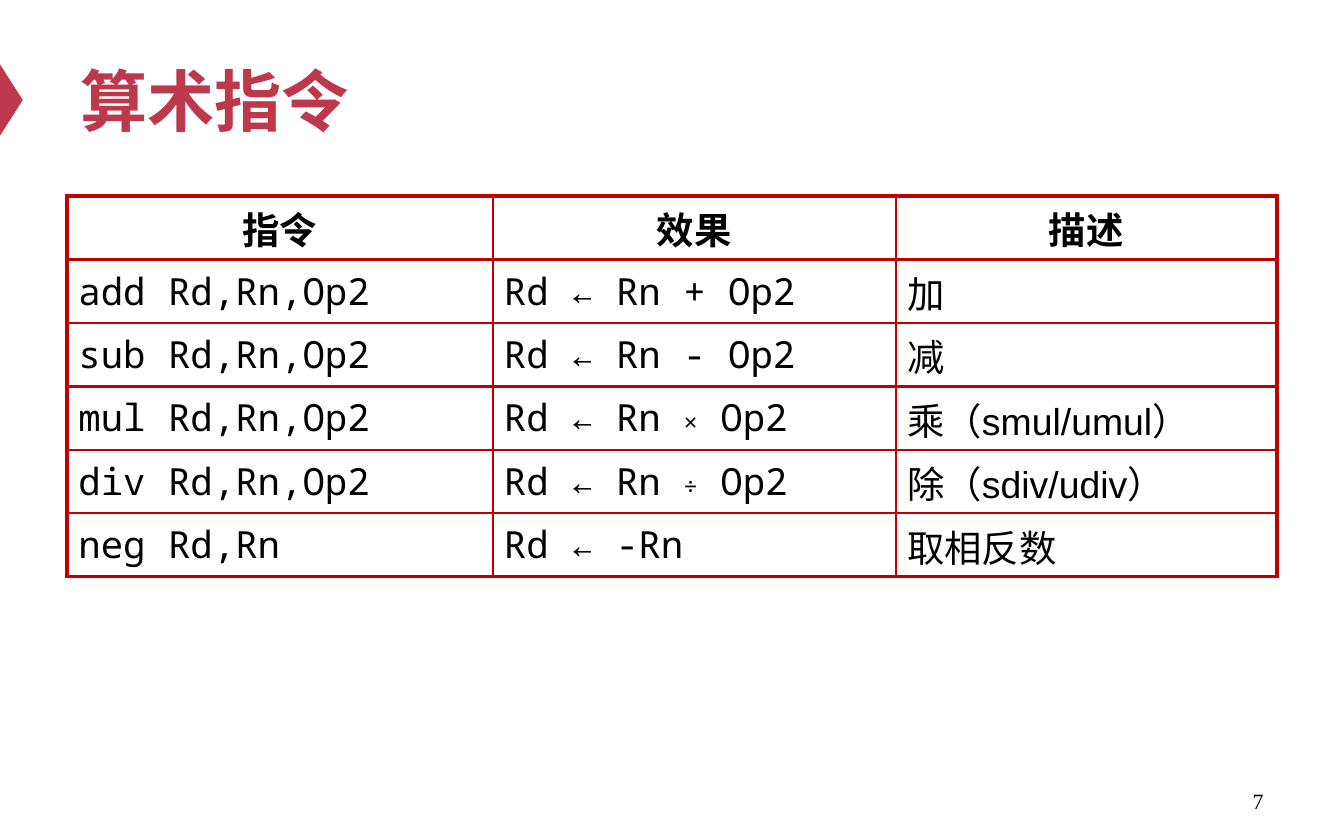
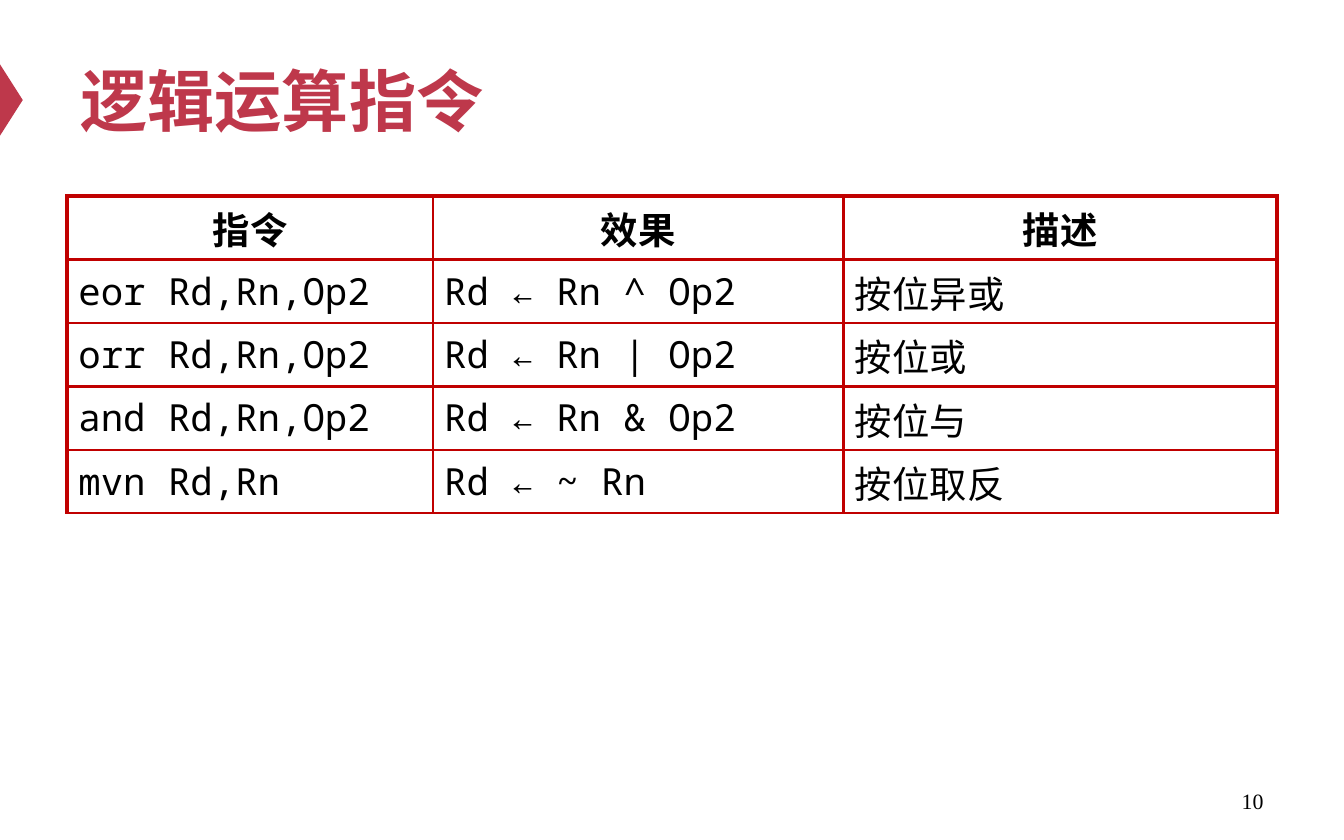
from lxml.etree import SubElement
from pptx import Presentation
from pptx.dml.color import RGBColor
from pptx.enum.shapes import MSO_SHAPE
from pptx.enum.text import MSO_ANCHOR, PP_ALIGN
from pptx.oxml.ns import qn
from pptx.util import Pt

COLORS = {"accent": "BE384B", "border": "C00000", "text": "000000"}
CODE_FONT = "Noto Sans Mono"
HEADINGS = ("指令", "效果", "描述")
ROW_HEIGHT = 34
THIN, THICK = 1.5, 2.25
SMALL_SYMBOLS = "×÷"

SLIDES = [
    {
        "title": "算术指令",
        "number": "7",
        "columns": (228, 216, 204),
        "description_font": "Arial",
        "bottom_border": THICK,
        "rows": [
            ("add Rd,Rn,Op2", "Rd ← Rn + Op2", "加"),
            ("sub Rd,Rn,Op2", "Rd ← Rn - Op2", "减"),
            ("mul Rd,Rn,Op2", "Rd ← Rn × Op2", "乘（smul/umul）"),
            ("div Rd,Rn,Op2", "Rd ← Rn ÷ Op2", "除（sdiv/udiv）"),
            ("neg Rd,Rn", "Rd ← -Rn", "取相反数"),
        ],
    },
    {
        "title": "逻辑运算指令",
        "number": "10",
        "columns": (196, 220, 232),
        "description_font": "Noto Sans CJK SC",
        "bottom_border": THIN,
        "rows": [
            ("eor Rd,Rn,Op2", "Rd ← Rn ^ Op2", "按位异或"),
            ("orr Rd,Rn,Op2", "Rd ← Rn | Op2", "按位或"),
            ("and Rd,Rn,Op2", "Rd ← Rn & Op2", "按位与"),
            ("mvn Rd,Rn", "Rd ← ~ Rn", "按位取反"),
        ],
    },
]


def write(frame, text, font, size, color="text", bold=False, align=PP_ALIGN.LEFT):
    """Fill a text frame with one paragraph, shrinking the small symbols."""
    paragraph = frame.paragraphs[0]
    paragraph.alignment = align
    paragraph.font.name = font
    paragraph.font.size = Pt(size)
    paragraph.font.bold = bold
    paragraph.font.color.rgb = RGBColor.from_string(COLORS[color])
    symbol = next((mark for mark in SMALL_SYMBOLS if mark in text), None)
    parts = text.partition(symbol) if symbol else [text]
    for part in parts:
        run = paragraph.add_run()
        run.text = part
        if part == symbol:
            run.font.size = Pt(13)


def set_borders(cell, widths):
    """Draw the left, right, top and bottom borders, in that order."""
    properties = cell._tc.get_or_add_tcPr()
    for side, width in zip("LRTB", widths):
        line = SubElement(properties, qn(f"a:ln{side}"), w=str(Pt(width)))
        fill = SubElement(line, qn("a:solidFill"))
        SubElement(fill, qn("a:srgbClr"), val=COLORS["border"])


presentation = Presentation()
presentation.slide_width = Pt(720)
presentation.slide_height = Pt(450)

for content in SLIDES:
    slide = presentation.slides.add_slide(presentation.slide_layouts[6])

    # Edge marker
    marker = slide.shapes.add_shape(
        MSO_SHAPE.ISOSCELES_TRIANGLE, Pt(-13), Pt(47.5), Pt(38.2), Pt(12.2))
    marker.rotation = 90
    marker.shadow.inherit = False
    marker.fill.solid()
    marker.fill.fore_color.rgb = RGBColor.from_string(COLORS["accent"])
    marker.line.fill.background()

    # Title and slide number
    title = slide.shapes.add_textbox(Pt(36), Pt(18), Pt(648), Pt(70.5))
    write(title.text_frame, content["title"], "Arial", 36, "accent", bold=True)
    number = slide.shapes.add_textbox(Pt(516), Pt(417), Pt(168), Pt(24))
    write(number.text_frame, content["number"], "Times New Roman", 11.7,
          align=PP_ALIGN.RIGHT)
    for box in (title, number):
        box.text_frame.word_wrap = True
        box.text_frame.vertical_anchor = MSO_ANCHOR.MIDDLE

    # Instruction table
    rows = [HEADINGS, *content["rows"]]
    last_row, last_column = len(rows) - 1, len(HEADINGS) - 1
    table = slide.shapes.add_table(
        len(rows), len(HEADINGS), Pt(36), Pt(105),
        Pt(sum(content["columns"])), Pt(ROW_HEIGHT * len(rows))).table
    table.first_row = False
    table.horz_banding = False
    for column, width in zip(table.columns, content["columns"]):
        column.width = Pt(width)
    fonts = (CODE_FONT, CODE_FONT, content["description_font"])

    for row_index, row in enumerate(rows):
        table.rows[row_index].height = Pt(ROW_HEIGHT)
        for column_index, text in enumerate(row):
            cell = table.cell(row_index, column_index)
            cell.margin_left = cell.margin_right = Pt(6)
            cell.margin_top = cell.margin_bottom = Pt(3)
            set_borders(cell, (
                THICK if column_index == 0 else THIN,
                THICK if column_index == last_column else THIN,
                THICK if row_index == 0 else THIN,
                content["bottom_border"] if row_index == last_row else THIN,
            ))
            cell.fill.background()
            if row_index == 0:
                write(cell.text_frame, text, "Arial", 20, bold=True,
                      align=PP_ALIGN.CENTER)
            else:
                write(cell.text_frame, text, fonts[column_index], 20)

presentation.save("out.pptx")
